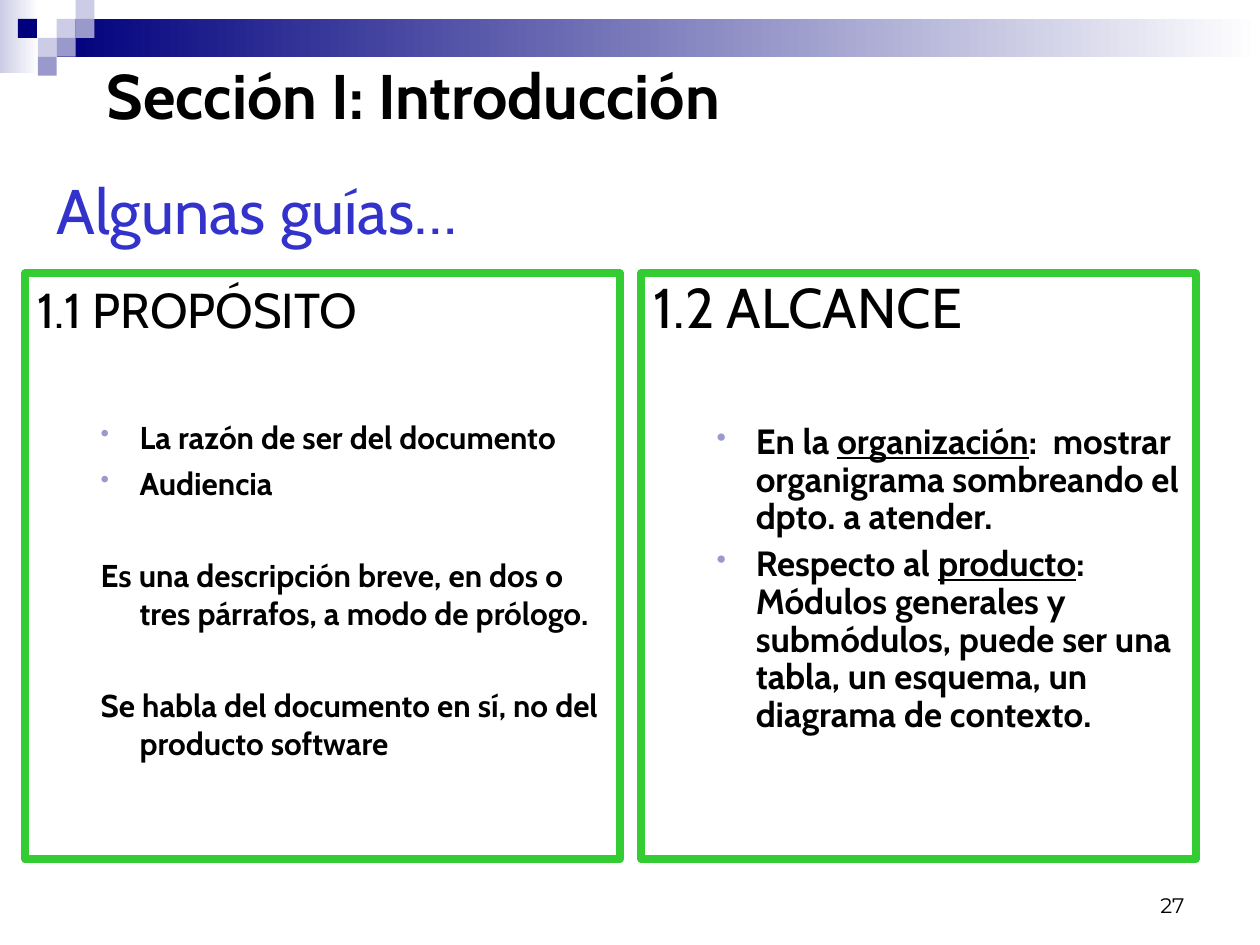
from lxml import etree
from pptx import Presentation
from pptx.dml.color import RGBColor
from pptx.enum.shapes import MSO_SHAPE
from pptx.enum.text import MSO_ANCHOR, MSO_AUTO_SIZE, PP_ALIGN
from pptx.oxml.ns import qn
from pptx.util import Inches, Pt

RECT = MSO_SHAPE.RECTANGLE
TOP, MIDDLE, BOTTOM = MSO_ANCHOR.TOP, MSO_ANCHOR.MIDDLE, MSO_ANCHOR.BOTTOM
LEFT, RIGHT = PP_ALIGN.LEFT, PP_ALIGN.RIGHT
NO_FIT = MSO_AUTO_SIZE.NONE

BLACK, WHITE, NAVY = "000000", "FFFFFF", "00007D"
LILAC, VIOLET, BLUE, GREEN = "CCCCE6", "9999CC", "3333CC", "33CC33"


def rgb(value):
    return RGBColor.from_string(value)


class Deck:
    font = "Cabin"
    color = BLACK

    def __init__(self, width, height):
        self.prs = Presentation()
        self.prs.slide_width = Inches(width)
        self.prs.slide_height = Inches(height)
        self.s = self.prs.slides.add_slide(self.prs.slide_layouts[5])

    def block(self, box, color, fade=False):
        sp = self.s.shapes.add_shape(RECT, *map(Inches, box))
        sp.shadow.inherit = False
        sp.line.fill.background()
        if fade:
            sp.fill.gradient()
            sp.fill.gradient_angle = 180
            for stop, value in zip(sp.fill.gradient_stops, (WHITE, color)):
                stop.color.rgb = rgb(value)
        else:
            sp.fill.solid()
            sp.fill.fore_color.rgb = rgb(color)

    def frame(self, sp, anchor):
        tf = sp.text_frame
        settings = {"word_wrap": True, "auto_size": NO_FIT,
                    "vertical_anchor": anchor}
        for name, value in settings.items():
            setattr(tf, name, value)
        return tf

    def fill_paragraph(self, p, runs, size, bold=False, color=None, font=None,
                       **layout):
        for name, value in {"alignment": LEFT, **layout}.items():
            setattr(p, name, value)
        for text, underline in runs:
            r = p.add_run()
            r.text = text
            style = {"name": font or self.font, "size": Pt(size),
                     "bold": bold, "underline": underline}
            for name, value in style.items():
                setattr(r.font, name, value)
            r.font.color.rgb = rgb(color or self.color)

    def title(self, box, text, **style):
        sp = self.s.shapes.title
        sp.left, sp.top, sp.width, sp.height = map(Inches, box)
        p = self.frame(sp, MIDDLE).paragraphs[0]
        self.fill_paragraph(p, [(text, False)], **style)

    def text(self, box, text, anchor, **style):
        sp = self.s.shapes.add_textbox(*map(Inches, box))
        p = self.frame(sp, anchor).paragraphs[0]
        self.fill_paragraph(p, [(text, False)], **style)

    def indent(self, p, margin, hanging, bullet):
        pPr = p._p.get_or_add_pPr()
        pPr.set("marL", str(Inches(margin)))
        pPr.set("indent", str(-Inches(hanging)))
        if bullet:
            clr = etree.SubElement(pPr, qn("a:buClr"))
            etree.SubElement(clr, qn("a:srgbClr"), val=VIOLET)
            etree.SubElement(pPr, qn("a:buSzPct"), val="80000")
            etree.SubElement(pPr, qn("a:buChar"), char="•")

    def panel(self, box, heading, heading_size, items, size, spacing):
        sp = self.s.shapes.add_textbox(*map(Inches, box))
        sp.line.color.rgb = rgb(GREEN)
        sp.line.width = Pt(4.5)
        tf = self.frame(sp, TOP)
        p = tf.paragraphs[0]
        self.fill_paragraph(p, [(heading, False)], heading_size,
                            line_spacing=spacing,
                            space_before=Pt(heading_size / 4))
        self.indent(p, 0.38, 0.38, False)
        for runs, gap, bullet in items:
            p = tf.add_paragraph()
            self.fill_paragraph(p, runs, size, bold=True, line_spacing=spacing,
                                space_before=Pt(gap))
            self.indent(p, 0.81, 0.31, bullet)


def main():
    deck = Deck(10, 7.5)

    deck.block((0, 0, 0.31, 0.58), LILAC, fade=True)
    deck.block((0.45, 0.15, 9.55, 0.3), NAVY, fade=True)
    tile = 0.15
    for col, row, color in [(3, 1, LILAC), (4, 0, LILAC), (4, 1, VIOLET),
                            (2, 2, LILAC), (0.95, 1, NAVY), (3, 2, VIOLET),
                            (2, 3, VIOLET)]:
        deck.block((col * tile, row * tile, tile, tile), color)

    deck.title((0.35, 0.91, 9, 1.5), "Algunas guías…", size=36, color=BLUE)

    purpose = [
        ([("La razón de ser del documento", False)], 45.5, True),
        ([("Audiencia", False)], 4.5, True),
        ([("Es una descripción breve, en dos o tres párrafos, "
           "a modo de prólogo.", False)], 31, False),
        ([("Se habla del documento en sí, no del producto software", False)],
         31, False),
    ]
    scope = [
        ([("En la ", False), ("organización", True),
          (":  mostrar organigrama sombreando el dpto. a atender.", False)],
         48, True),
        ([("Respecto al ", False), ("producto", True),
          (": Módulos generales y submódulos, puede ser una tabla, "
           "un esquema, un diagrama de contexto.", False)], 5, True),
    ]
    deck.panel((0.2, 2.17, 4.72, 4.65), "1.1 PROPÓSITO", 28, purpose, 18, 1.0)
    deck.panel((5.09, 2.17, 4.4, 4.65), "1.2 ALCANCE", 32, scope, 20, 0.9)

    deck.text((0.75, 0, 8.03, 1.5), "Sección I: Introducción", MIDDLE,
              size=36, bold=True)
    deck.text((7.17, 6.83, 2.33, 0.5), "27", BOTTOM, size=12,
              font="Montserrat", alignment=RIGHT)

    deck.prs.save("out.pptx")


if __name__ == "__main__":
    main()
